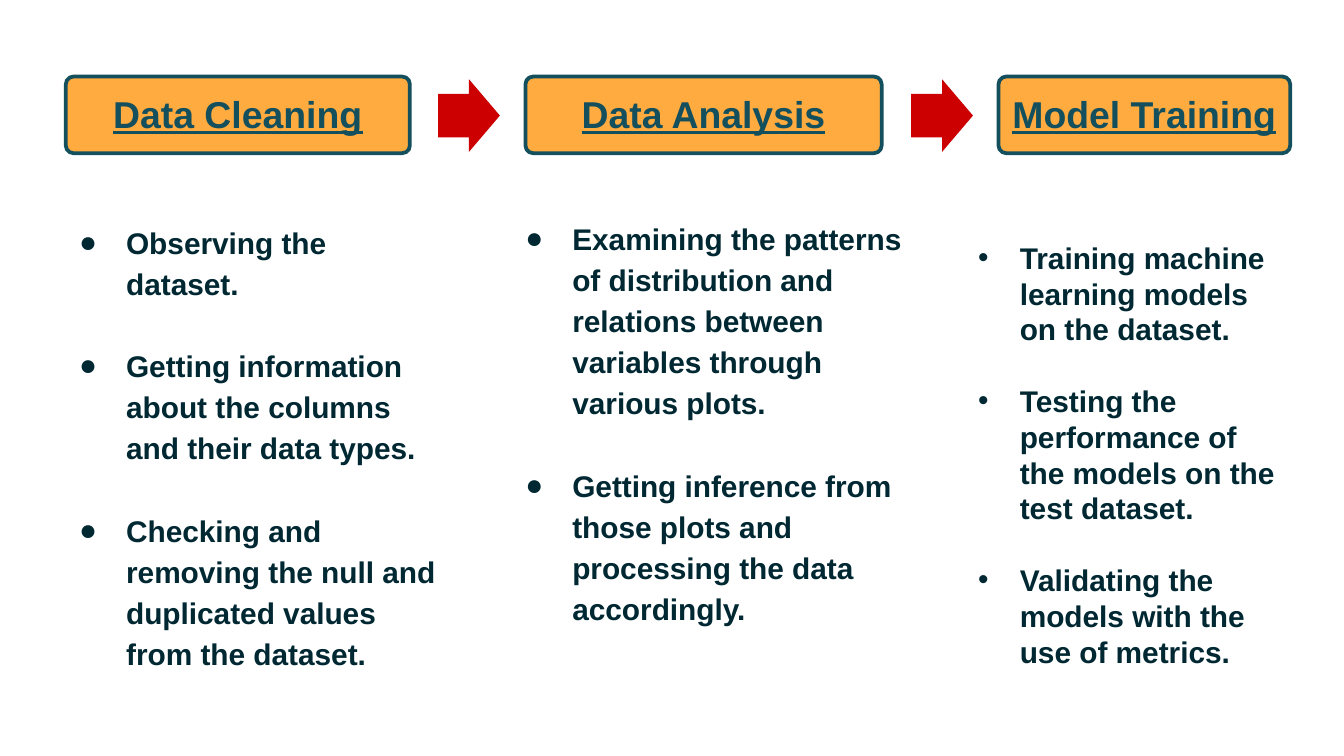
from dataclasses import dataclass

from lxml import etree
from pptx import Presentation
from pptx.dml.color import RGBColor
from pptx.enum.shapes import MSO_SHAPE
from pptx.enum.text import MSO_ANCHOR, PP_ALIGN
from pptx.oxml.ns import qn
from pptx.util import Inches, Pt

ROUNDED = MSO_SHAPE.ROUNDED_RECTANGLE
ARROW = MSO_SHAPE.RIGHT_ARROW
TOP, MIDDLE = MSO_ANCHOR.TOP, MSO_ANCHOR.MIDDLE
CENTER = PP_ALIGN.CENTER


@dataclass(frozen=True)
class Theme:
    font: str = "Arial"
    body: RGBColor = RGBColor(0x00, 0x28, 0x32)
    teal: RGBColor = RGBColor(0x13, 0x4F, 0x5C)
    amber: RGBColor = RGBColor(0xFF, 0xAB, 0x40)
    red: RGBColor = RGBColor(0xCC, 0x00, 0x00)
    heading_size: Pt = Pt(20)
    body_size: Pt = Pt(16)


theme = Theme()


def add_span(para, text, size, color):
    span = para.add_run()
    span.text = text
    span.font.name = theme.font
    span.font.size = size
    span.font.bold = True
    span.font.color.rgb = color
    return span


def set_bullet(para, mark, left, hanging):
    props = para._p.get_or_add_pPr()
    props.set("marL", str(Inches(left)))
    props.set("indent", str(-Inches(hanging)))
    color = etree.SubElement(props, qn("a:buClr"))
    etree.SubElement(color, qn("a:srgbClr"), val=str(theme.body))
    etree.SubElement(props, qn("a:buFont"), typeface=theme.font)
    etree.SubElement(props, qn("a:buChar"), char=mark)


# Widescreen page, 16 to 9
deck = Presentation()
deck.slide_width = Inches(10)
deck.slide_height = Inches(10) * 9 // 16
page = deck.slides.add_slide(deck.slide_layouts[6])

# Stage headings
stages = [
    ("Data Cleaning", 0.49, 2.56),
    ("Data Analysis", 3.91, 2.65),
    ("Model Training", 7.43, 2.17),
]
for title, left, width in stages:
    stage = page.shapes.add_shape(ROUNDED, Inches(left), Inches(0.57), Inches(width), Inches(0.57))
    stage.adjustments[0] = 0.1
    stage.shadow.inherit = False
    stage.fill.solid()
    stage.fill.fore_color.rgb = theme.amber
    stage.line.color.rgb = theme.teal
    stage.line.width = Pt(2)
    frame = stage.text_frame
    frame.margin_left = frame.margin_right = Inches(0.05)
    frame.margin_top = Inches(0.07)
    frame.vertical_anchor = MIDDLE
    para = frame.paragraphs[0]
    para.alignment = CENTER
    para.line_spacing = 0.9
    add_span(para, title, theme.heading_size, theme.teal).font.underline = True

# Arrows, each just before the next stage
for _, next_left, _ in stages[1:]:
    arrow = page.shapes.add_shape(ARROW, Inches(next_left - 0.65), Inches(0.59), Inches(0.46), Inches(0.54))
    arrow.adjustments[0], arrow.adjustments[1] = 0.6, 0.5
    arrow.shadow.inherit = False
    arrow.fill.solid()
    arrow.fill.fore_color.rgb = theme.red
    arrow.line.fill.background()

# Bulleted columns: area, top and bottom inset, anchor, bullet, indents, line spacing, gap, items
columns = [
    ((0.34, 1.26, 3.08, 3.74), (0.37, 0.1), TOP, "●", (0.5, 0.35), 1.15, 22, [
        "Observing the dataset.",
        "Getting information about the columns and their data types.",
        "Checking and removing the null and duplicated values from the dataset.",
    ]),
    ((3.66, 1.26, 3.19, 3.74), (0.34, 0.1), TOP, "●", (0.5, 0.35), 1.15, 22, [
        "Examining the patterns of distribution and relations between variables through various plots.",
        "Getting inference from those plots and processing the data accordingly.",
    ]),
    ((7.18, 1.62, 2.48, 3.52), (0.05, 0.05), MIDDLE, "•", (0.31, 0.31), 1.0, 19.2, [
        "Training machine learning models on the dataset.",
        "Testing the performance of the models on the test dataset.",
        "Validating the models with the use of metrics.",
    ]),
]
for area, insets, anchor, mark, indents, spacing, gap, items in columns:
    box = page.shapes.add_textbox(*[Inches(length) for length in area])
    frame = box.text_frame
    frame.word_wrap = True
    frame.vertical_anchor = anchor
    frame.margin_top, frame.margin_bottom = [Inches(inset) for inset in insets]
    for index, item in enumerate(items):
        para = frame.add_paragraph() if index else frame.paragraphs[0]
        para.line_spacing = spacing
        para.space_before = Pt(gap if index else 0)
        set_bullet(para, mark, *indents)
        add_span(para, item, theme.body_size, theme.body)

deck.save("out.pptx")
